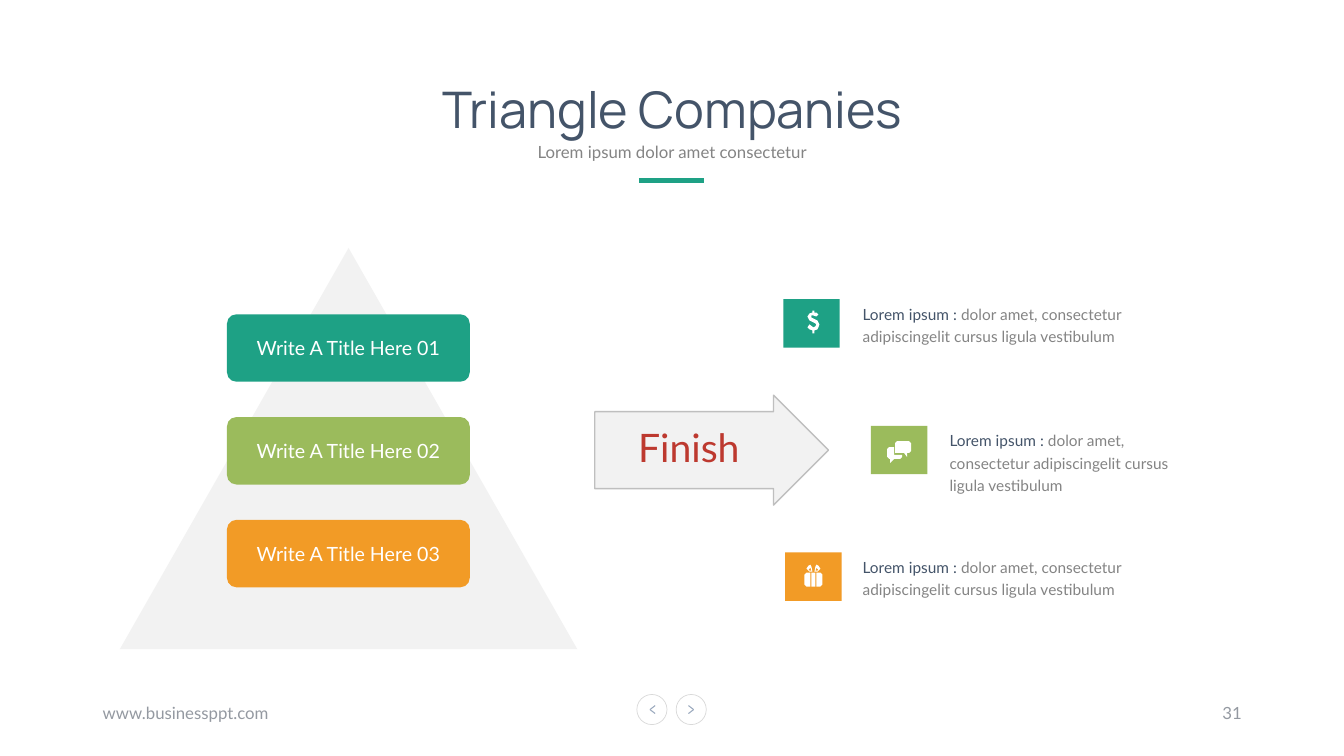
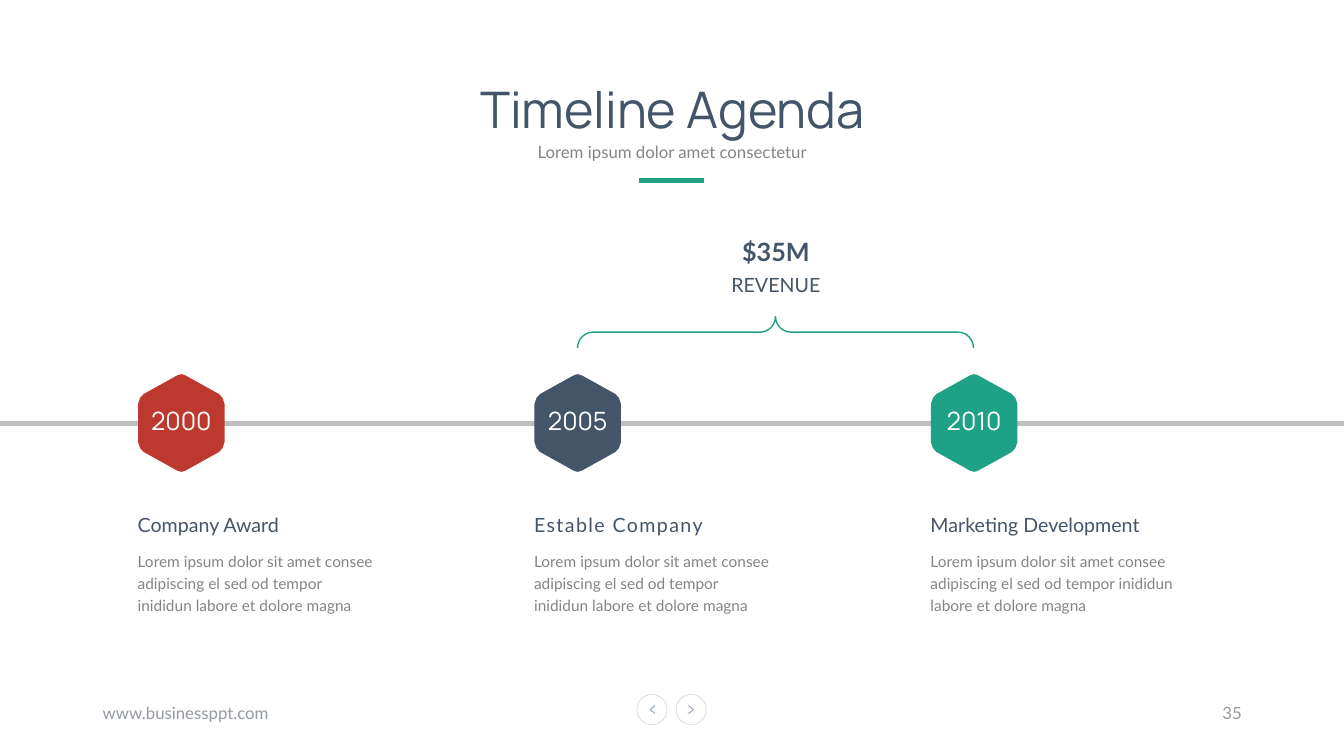
from lxml.etree import SubElement
from pptx import Presentation
from pptx.dml.color import RGBColor
from pptx.enum.shapes import MSO_CONNECTOR, MSO_SHAPE as Kind
from pptx.enum.text import MSO_ANCHOR as Anchor, MSO_AUTO_SIZE, PP_ALIGN as Align
from pptx.oxml.ns import qn
from pptx.util import Cm, Pt

# Shared colours and fonts
hue = RGBColor.from_string
NAVY, GREY, MUTED, WHITE = "445469", "848484", "9499A1", "FFFFFF"
TEAL, OLIVE, AMBER, RED = "1EA185", "9BBB5C", "F29B26", "BD392F"
PALE, SILVER = "F2F2F2", "BFBFBF"
BODY, HEAD = "Lato", "Manrope"
STRAIGHT = MSO_CONNECTOR.STRAIGHT


def paint(item, fill=None, line=None, width=1):
    """Set fill and outline, and remove the theme shadow."""
    if hasattr(item, "fill"):
        item.shadow.inherit = False
        if fill:
            item.fill.solid()
            item.fill.fore_color.rgb = hue(fill)
        else:
            item.fill.background()
    if line:
        item.line.color.rgb = hue(line)
        item.line.width = Pt(width)
    else:
        item.line.fill.background()
    if not hasattr(item, "fill"):
        SubElement(item._element.spPr, qn("a:effectLst"))


def write(item, text, size, tone, face=BODY, align=Align.LEFT,
          anchor=Anchor.TOP, space=None, wrap=True):
    """Fill a shape or text box with text in one style."""
    frame = item.text_frame
    frame.text = text
    frame.word_wrap = wrap
    frame.auto_size = MSO_AUTO_SIZE.NONE
    frame.vertical_anchor = anchor
    for para in frame.paragraphs:
        para.alignment = align
        para.line_spacing = space
        for run in para.runs:
            run.font.name = face
            run.font.size = Pt(size)
            run.font.color.rgb = hue(tone)
    return frame


deck = Presentation()
deck.slide_width, deck.slide_height = Cm(33.87), Cm(19.05)

# Title block, page buttons and footer of every slide
pages = []
for title, number in (("Triangle Companies", "31"), ("Timeline Agenda", "35")):
    slide = deck.slides.add_slide(deck.slide_layouts[5])
    shapes = slide.shapes
    pages.append(shapes)

    head = shapes.title
    head.left, head.top, head.width, head.height = Cm(8.79), Cm(1.83), Cm(16.31), Cm(1.8)
    write(head, title, 36, NAVY, HEAD, Align.CENTER)
    box = shapes.add_textbox(Cm(10.95), Cm(3.25), Cm(11.99), Cm(0.97))
    write(box, "Lorem ipsum dolor amet consectetur", 12, GREY, align=Align.CENTER, space=1.4)
    bar = shapes.add_connector(STRAIGHT, Cm(16.1), Cm(4.55), Cm(17.75), Cm(4.55))
    paint(bar, line=TEAL, width=3)

    for left, tip, back in ((16.05, 16.38, 16.51), (17.04, 17.48, 17.35)):
        ring = shapes.add_shape(Kind.OVAL, Cm(left), Cm(17.5), Cm(0.76), Cm(0.76))
        paint(ring, line="D9D9D9", width=0.5)
        for end in (17.78, 17.98):
            stroke = shapes.add_connector(STRAIGHT, Cm(tip), Cm(17.88), Cm(back), Cm(end))
            paint(stroke, line="99A8BD", width=0.75)

    for left, width, text, align in ((2.34, 11.43, "www.businessppt.com", Align.LEFT),
                                     (23.93, 7.62, number, Align.RIGHT)):
        box = shapes.add_textbox(Cm(left), Cm(17.45), Cm(width), Cm(1.02))
        write(box, text, 12, MUTED, align=align, anchor=Anchor.MIDDLE)

first, second = pages

# Triangle with its three cards
peak = first.add_shape(Kind.ISOSCELES_TRIANGLE, Cm(3.02), Cm(6.25), Cm(11.53), Cm(10.11))
paint(peak, PALE)
for i, tone in enumerate((TEAL, OLIVE, AMBER)):
    card = first.add_shape(Kind.ROUNDED_RECTANGLE, Cm(5.72), Cm(7.92 + 2.59 * i), Cm(6.12), Cm(1.7))
    card.adjustments[0] = 0.14
    paint(card, tone)
    write(card, f"Write A Title Here 0{i + 1}", 14, WHITE,
          align=Align.CENTER, anchor=Anchor.MIDDLE, wrap=False)

# Arrow
arrow = first.add_shape(Kind.RIGHT_ARROW, Cm(14.99), Cm(9.96), Cm(5.89), Cm(2.77))
arrow.adjustments[0] = 0.7
paint(arrow, PALE, SILVER)
frame = write(arrow, "Finish", 28, RED, align=Align.CENTER, anchor=Anchor.MIDDLE, space=0.9)
frame.margin_right = Cm(0.43)

# Icon outlines around the centre of their tile, in units of 0.25 mm
dollar = [[(7, -9), (5, -7), (2, -8), (0, -8), (0, -6), (2, -5), (6, -3), (7, -1),
           (8, 1), (7, 4), (6, 6), (3, 7), (3, 10), (1, 10), (1, 7), (-2, 6),
           (-4, 4), (-2, 1), (2, 4), (4, 3), (5, 1), (4, 0), (2, -1), (-2, -3),
           (-3, -5), (-4, -7), (-2, -10), (1, -11), (1, -13), (3, -13), (3, -11), (5, -11)]]
chat = [[(10, -9), (-2, -9), (-4, -7), (-4, 3), (5, 3), (8, 7), (8, 3), (10, 3), (12, 1), (12, -7)],
        [(-5, 5), (-5, -3), (-10, -3), (-12, -1), (-12, 7), (-10, 9), (-9, 9), (-9, 13),
         (-5, 9), (1, 9), (3, 7), (3, 5)]]
half = [[(-9, -2), (-9, 8), (-7, 10), (-3, 10), (-3, -4), (-7, -4)],
        [(-3, -12), (-5, -11), (-7, -8), (-4, -5), (-1, -5), (-2, -10)],
        [(-5, -7), (-3, -9), (-2, -6), (-4, -6)]]
gift = half + [[(-x, y) for x, y in ring] for ring in half]
gift.append([(-2, 10), (2, 10), (2, -4), (-2, -4)])

# Icon tiles with their texts
points = ((20.45, TEAL, dollar, 21.74, 7.01),
          (22.66, OLIVE, chat, 23.93, 6.4),
          (20.5, AMBER, gift, 21.74, 7.01))
for i, (mid, tone, icon, left, width) in enumerate(points):
    y = 8.15 + 3.19 * i
    tile = first.add_shape(Kind.RECTANGLE, Cm(mid - 0.71), Cm(y - 0.61), Cm(1.42), Cm(1.22))
    paint(tile, tone)

    pen = first.build_freeform(*icon[0][0], scale=Cm(0.025))
    for ring in icon:
        pen.move_to(*ring[0])
        pen.add_line_segments(ring[1:], close=True)
    paint(pen.convert_to_shape(Cm(mid), Cm(y)), WHITE)

    box = first.add_textbox(Cm(left), Cm(y - 0.56), Cm(width), Cm(1.12))
    frame = write(box, "Lorem ipsum : ", 11, NAVY, space=1.2)
    frame.margin_left = frame.margin_right = frame.margin_top = frame.margin_bottom = 0
    run = frame.paragraphs[0].add_run()
    run.text = "dolor amet, consectetur adipiscingelit cursus ligula vestibulum"
    run.font.name, run.font.size = BODY, Pt(11)
    run.font.color.rgb = hue(GREY)

# Time axis
axis = second.add_connector(STRAIGHT, 0, Cm(10.67), deck.slide_width, Cm(10.67))
paint(axis, line=SILVER, width=3)

# Revenue brace
brace = second.add_shape(Kind.RIGHT_BRACE, Cm(19.15), Cm(3.38), Cm(0.79), Cm(9.98))
brace.rotation = 270
brace.adjustments[0] = 0.49
paint(brace, line=TEAL)
box = second.add_textbox(Cm(18.16), Cm(5.59), Cm(2.79), Cm(2.03))
frame = write(box, "$35M\nREVENUE", 14, NAVY, align=Align.CENTER, space=1.3, wrap=False)
sum_font = frame.paragraphs[0].runs[0].font
sum_font.size, sum_font.bold = Pt(18), True

# Hexagon outline with rounded corners, in units of 0.1 mm
arc = [(0, -123), (8, -121), (14, -118), (95, -73), (104, -63), (109, -48)]
right = arc + [(x, -y) for x, y in reversed(arc)]
hexa = right + [(-x, y) for x, y in reversed(right)]

# Milestones
steps = (("2000", RED, "Company Award", 0, 6.6),
         ("2005", NAVY, "Estable Company", 1, 6.6),
         ("2010", TEAL, "Marketing Development", 0, 6.76))
for i, (year, tone, name, gap, width) in enumerate(steps):
    mid = 4.57 + 9.99 * i
    pen = second.build_freeform(*hexa[0], scale=Cm(0.01))
    pen.add_line_segments(hexa[1:], close=True)
    node = pen.convert_to_shape(Cm(mid), Cm(10.66))
    paint(node, tone)
    frame = write(node, year, 18, WHITE, HEAD, Align.CENTER, Anchor.MIDDLE, wrap=False)
    frame.margin_bottom = Cm(0.25)

    box = second.add_textbox(Cm(mid - 1.35), Cm(12.8), Cm(6.27), Cm(0.86))
    frame = write(box, name, 14, NAVY)
    if gap:
        frame.paragraphs[0].runs[0]._r.get_or_add_rPr().set("spc", str(gap * 100))
    box = second.add_textbox(Cm(mid - 1.35), Cm(13.69), Cm(width), Cm(1.96))
    write(box, "Lorem ipsum dolor sit amet consee adipiscing el sed od tempor "
          "inididun labore et dolore magna", 11, GREY, space=1.2)

deck.save("out.pptx")
